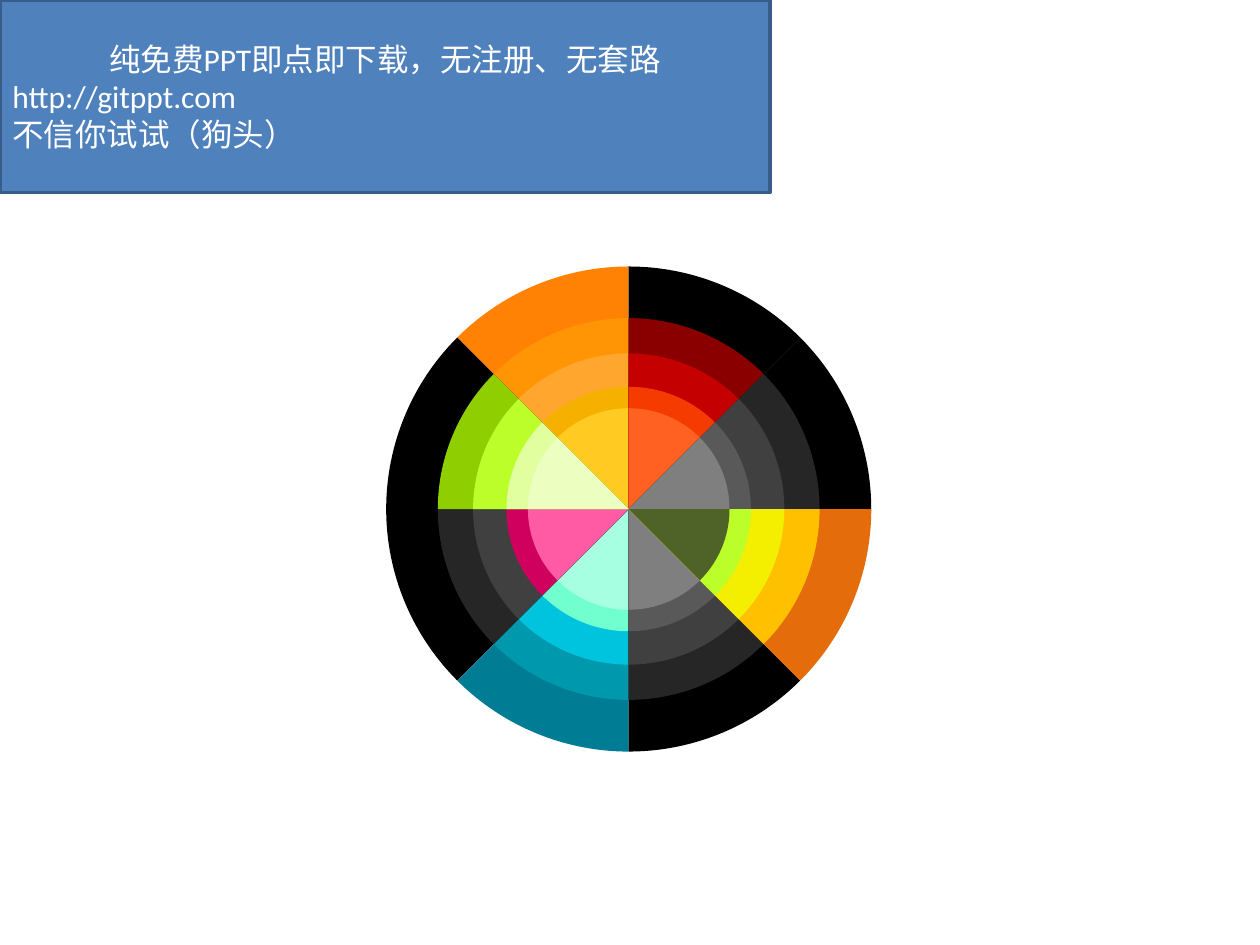
"""Build a slide with a banner and a colour wheel of eight five-ring sectors."""
from dataclasses import dataclass

from pptx import Presentation
from pptx.dml.color import RGBColor
from pptx.enum import shapes, text
from pptx.shapes.group import GroupShape
from pptx.slide import Slide
from pptx.util import Inches, Pt

WHITE = RGBColor(0xFF, 0xFF, 0xFF)
BANNER_FILL = RGBColor(0x4F, 0x81, 0xBD)
BANNER_LINE = RGBColor(0x38, 0x5D, 0x8A)
BLACK = RGBColor(0x00, 0x00, 0x00)
CHARCOAL = RGBColor(0x26, 0x26, 0x26)
DARK_GREY = RGBColor(0x40, 0x40, 0x40)
MID_GREY = RGBColor(0x59, 0x59, 0x59)
GREY = RGBColor(0x7F, 0x7F, 0x7F)
LIME = RGBColor(0xBC, 0xFE, 0x2A)
GREYS = (BLACK, CHARCOAL, DARK_GREY, MID_GREY, GREY)
ORANGES = (RGBColor(0xFF, 0x82, 0x05), RGBColor(0xFF, 0x94, 0x05),
           RGBColor(0xFF, 0xA6, 0x2F), RGBColor(0xF6, 0xB0, 0x00),
           RGBColor(0xFF, 0xCA, 0x21))
REDS = (BLACK, RGBColor(0x8A, 0x00, 0x00), RGBColor(0xC4, 0x00, 0x00),
        RGBColor(0xF6, 0x3B, 0x00), RGBColor(0xFE, 0x61, 0x22))
YELLOWS = (RGBColor(0xE4, 0x6C, 0x0A), RGBColor(0xFF, 0xC0, 0x00),
           RGBColor(0xF4, 0xEE, 0x00), LIME, RGBColor(0x4F, 0x62, 0x28))
TEALS = (RGBColor(0x01, 0x7C, 0x95), RGBColor(0x00, 0x98, 0xAC),
         RGBColor(0x00, 0xC4, 0xDE), RGBColor(0x71, 0xFF, 0xD0),
         RGBColor(0xA7, 0xFF, 0xE2))
PINKS = (BLACK, CHARCOAL, DARK_GREY,
         RGBColor(0xD0, 0x00, 0x5E), RGBColor(0xFF, 0x5B, 0xA5))
GREENS = (BLACK, RGBColor(0x8F, 0xCF, 0x01), LIME,
          RGBColor(0xE1, 0xFF, 0x9F), RGBColor(0xEC, 0xFF, 0xC1))

CENTER_X, CENTER_Y = 4.99, 4.04
RING_DIAMETERS = (3.85, 3.03, 2.47, 1.94, 1.6)
SECTOR_ANGLE = 45
ANGLE_UNIT = 0.6
BANNER_LINES = ("纯免费PPT即点即下载，无注册、无套路",
                "http://gitppt.com",
                "不信你试试（狗头）")


@dataclass(frozen=True)
class Sector:
    position: int
    ring_colors: tuple[RGBColor, ...]


SECTORS = (Sector(5, ORANGES), Sector(6, REDS), Sector(2, TEALS),
           Sector(1, GREYS), Sector(7, GREYS), Sector(3, PINKS),
           Sector(0, YELLOWS), Sector(4, GREENS))


def draw_wedge(group: GroupShape, start: int, diameter: float,
               color: RGBColor) -> None:
    wedge = group.shapes.add_shape(
        shapes.MSO_SHAPE.PIE,
        Inches(CENTER_X - diameter / 2), Inches(CENTER_Y - diameter / 2),
        Inches(diameter), Inches(diameter))
    wedge.adjustments[0] = start * ANGLE_UNIT
    wedge.adjustments[1] = (start + SECTOR_ANGLE) % 360 * ANGLE_UNIT
    wedge.shadow.inherit = False
    wedge.fill.solid()
    wedge.fill.fore_color.rgb = color
    wedge.line.fill.background()


def draw_sector(slide: Slide, sector: Sector) -> None:
    group = slide.shapes.add_group_shape()
    for diameter, color in zip(RING_DIAMETERS, sector.ring_colors):
        draw_wedge(group, sector.position * SECTOR_ANGLE, diameter, color)


def draw_banner(slide: Slide) -> None:
    banner = slide.shapes.add_shape(shapes.MSO_SHAPE.RECTANGLE, 0, 0,
                                    Inches(6.11), Inches(1.53))
    banner.shadow.inherit = False
    banner.fill.solid()
    banner.fill.fore_color.rgb = BANNER_FILL
    banner.line.color.rgb = BANNER_LINE
    banner.line.width = Pt(2)
    frame = banner.text_frame
    frame.word_wrap = True
    frame.vertical_anchor = text.MSO_ANCHOR.MIDDLE
    frame.text = "\n".join(BANNER_LINES)
    for index, paragraph in enumerate(frame.paragraphs):
        paragraph.alignment = text.PP_ALIGN.LEFT if index else text.PP_ALIGN.CENTER
        for run in paragraph.runs:
            run.font.name = "Calibri"
            run.font.size = Pt(18)
            run.font.color.rgb = WHITE


def main() -> None:
    presentation = Presentation()
    presentation.slide_width = Inches(10)
    presentation.slide_height = Inches(7.5)
    slide = presentation.slides.add_slide(presentation.slide_layouts[6])
    for sector in SECTORS:
        draw_sector(slide, sector)
    draw_banner(slide)
    presentation.save("out.pptx")


if __name__ == "__main__":
    main()
